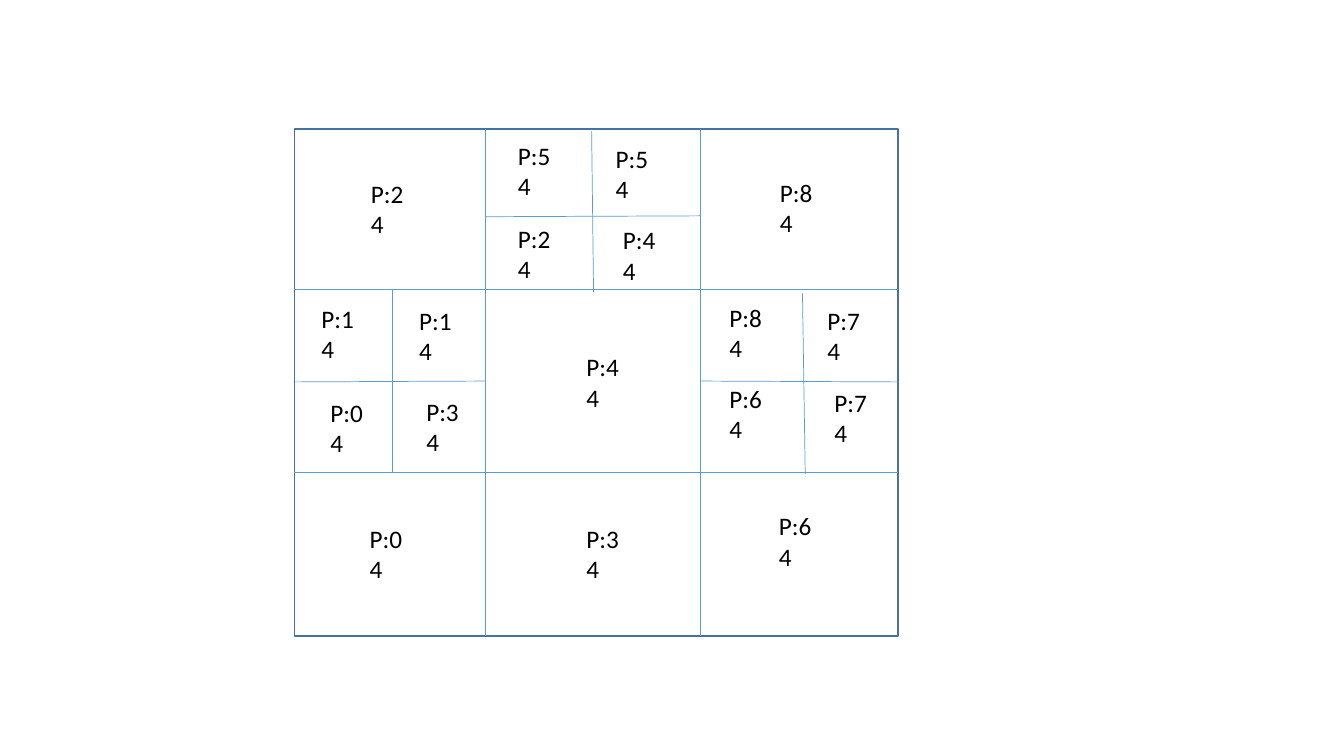
import pptx
import pptx.util
import pptx.dml.color
import pptx.enum.shapes
import pptx.enum.text
import pptx.oxml.ns
from lxml import etree

Pt = pptx.util.Pt
HUES = {"frame": "43739E", "grid": "5B9BD5", "text": "000000"}
FONT = "Calibri"

# Edges of the three columns and three rows
COLS = [210.2, 347, 500.4, 641.5]
ROWS = [92.2, 206.6, 337.7, 454.2]

# Cross lines that split a cell into four: x1, y1, x2, y2
SPLITS = [
    (280, ROWS[1], 280, ROWS[2]),
    (COLS[0], 272.8, COLS[1], 272.2),
    (422.6, 93.6, 424, 208.8),
    (COLS[1], 154.8, COLS[2], 154.2),
    (573.2, 209.6, 575.2, 338.4),
    (COLS[2], 272.2, COLS[3], 272.8),
]

# Labels of whole cells: number, left, top, width
WHOLE = [
    (0, 257, 370, 44), (2, 257.8, 123.8, 44), (3, 411.8, 370, 52.5),
    (4, 411.8, 247.7, 42), (8, 550, 123, 42), (6, 549.3, 361.3, 42),
]

# Labels of quarter cells: number, left, top
PARTS = [
    (1, 222.5, 213), (1, 292.3, 214.7), (3, 297.4, 279.4), (0, 229, 280.2),
    (5, 362.9, 96.5), (5, 432.7, 98.5), (4, 437.8, 157), (2, 362.9, 156),
    (8, 514, 212.4), (7, 583.9, 214.6), (7, 589, 273), (6, 514, 270),
]


def tint(name):
    """Return the named colour."""
    return pptx.dml.color.RGBColor.from_string(HUES[name])


def write(frame, text, size=18, font=FONT, hue="text"):
    """Fill a text frame, one paragraph per line of text."""
    frame.text = text
    for para in frame.paragraphs:
        for run in para.runs:
            run.font.size = Pt(size)
            run.font.name = font
            run.font.color.rgb = tint(hue)


class Board:
    """Holds the slide and the style of its elements."""

    def __init__(self, slide, thin=0.5, thick=1):
        """Keep the slide and the line widths."""
        self.shapes = slide.shapes
        self.thin = thin
        self.thick = thick

    def frame(self, left, top, right, low):
        """Draw the unfilled outer box."""
        box = self.shapes.add_shape(
            pptx.enum.shapes.MSO_SHAPE.RECTANGLE,
            Pt(left), Pt(top), Pt(right - left), Pt(low - top))
        box.shadow.inherit = False
        box.fill.background()
        box.line.color.rgb = tint("frame")
        box.line.width = Pt(self.thick)

    def line(self, *ends):
        """Draw a thin line from x1, y1 to x2, y2."""
        rule = self.shapes.add_connector(
            pptx.enum.shapes.MSO_CONNECTOR.STRAIGHT, *map(Pt, ends))
        rule.line.color.rgb = tint("grid")
        rule.line.width = Pt(self.thin)
        etree.SubElement(rule._element.spPr,
                         pptx.oxml.ns.qn("a:effectLst"))

    def label(self, num, left, top, width=44):
        """Place a cell's P number above its count."""
        box = self.shapes.add_textbox(Pt(left), Pt(top), Pt(width), Pt(51))
        box.text_frame.word_wrap = True
        box.text_frame.auto_size = (
            pptx.enum.text.MSO_AUTO_SIZE.SHAPE_TO_FIT_TEXT)
        write(box.text_frame, f"P:{num}\n4")


def main():
    """Build and save the slide."""
    deck = pptx.Presentation()
    deck.slide_width, deck.slide_height = Pt(960), Pt(540)
    board = Board(deck.slides.add_slide(deck.slide_layouts[6]))
    board.frame(COLS[0], ROWS[0], COLS[-1], ROWS[-1])
    for x in COLS[1:-1]:
        board.line(x, ROWS[0], x, ROWS[-1])
    for y in ROWS[1:-1]:
        board.line(COLS[0], y, COLS[-1], y)
    for ends in SPLITS:
        board.line(*ends)
    for item in WHOLE + PARTS:
        board.label(*item)
    deck.save("out.pptx")


main()
